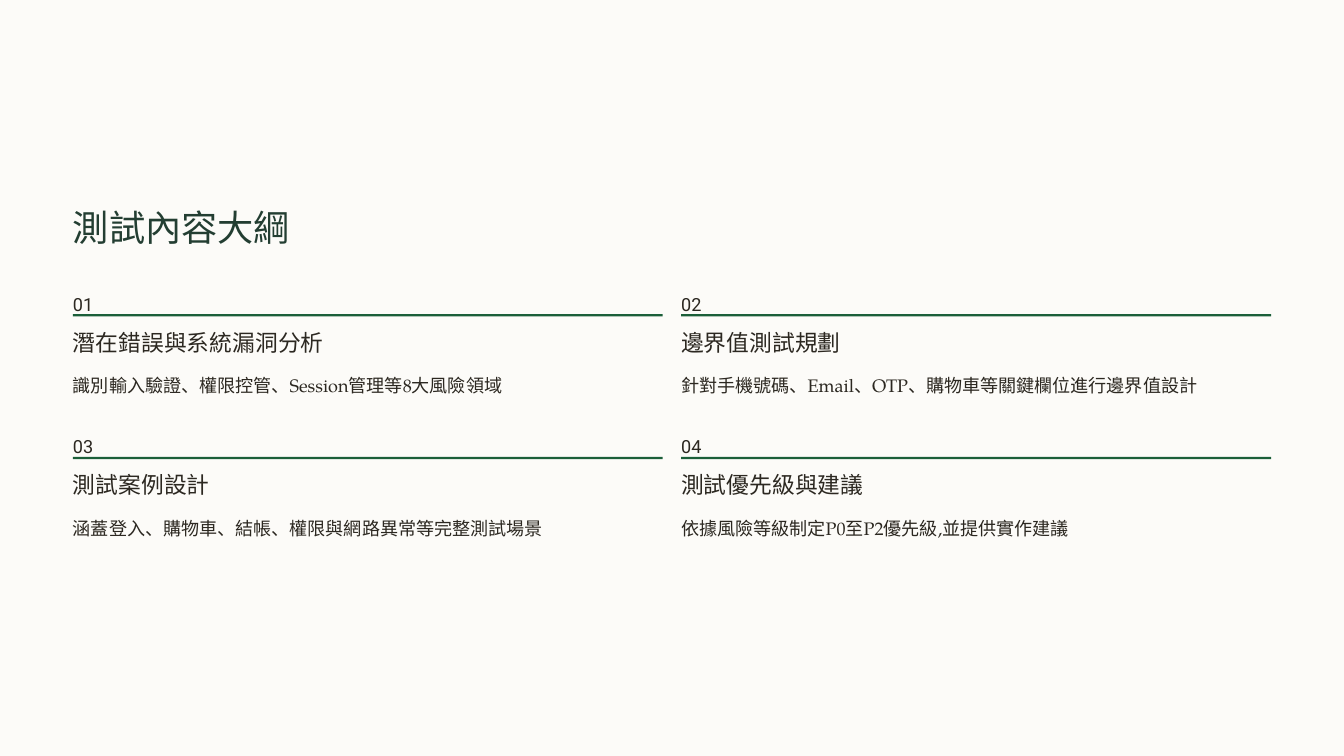
from dataclasses import dataclass

from pptx import Presentation
from pptx.dml.color import RGBColor
from pptx.enum.shapes import MSO_SHAPE as Shape
from pptx.enum.text import MSO_ANCHOR as Anchor, PP_ALIGN as Align
from pptx.util import Pt


@dataclass(frozen=True)
class Theme:
    backdrop: RGBColor = RGBColor(0x00, 0x00, 0x00)
    paper: RGBColor = RGBColor(0xFC, 0xFB, 0xF8)
    title: RGBColor = RGBColor(0x23, 0x3E, 0x32)
    text: RGBColor = RGBColor(0x2C, 0x28, 0x21)
    rule: RGBColor = RGBColor(0x1B, 0x5F, 0x39)
    sans: str = "Roboto"
    serif: str = "TeX Gyre Pagella"
    title_size: float = 31
    heading_size: float = 19.5
    body_size: float = 15.5


THEME = Theme()

TOPICS = [
    ("潛在錯誤與系統漏洞分析", "識別輸入驗證、權限控管、Session管理等8大風險領域"),
    ("邊界值測試規劃", "針對手機號碼、Email、OTP、購物車等關鍵欄位進行邊界值設計"),
    ("測試案例設計", "涵蓋登入、購物車、結帳、權限與網路異常等完整測試場景"),
    ("測試優先級與建議", "依據風險等級制定P0至P2優先級,並提供實作建議"),
]

# Page grid, in points
PAGE_WIDTH, PAGE_HEIGHT = 1152, 648
MARGIN, GAP = 62.5, 15.8
COLUMNS = 2
TITLE_TOP, GRID_TOP, ROW_PITCH = 174.2, 244.8, 122.4
CONTENT_WIDTH = PAGE_WIDTH - 2 * MARGIN
COLUMN_WIDTH = (CONTENT_WIDTH - GAP * (COLUMNS - 1)) / COLUMNS


def add_text(slide, text, left, top, width, height, *, size, leading,
             font=THEME.sans, color=THEME.text):
    shape = slide.shapes.add_textbox(Pt(left), Pt(top), Pt(width), Pt(height))
    frame = shape.text_frame
    frame.word_wrap = False
    frame.vertical_anchor = Anchor.TOP
    frame.margin_left = frame.margin_right = 0
    frame.margin_top = frame.margin_bottom = 0
    paragraph = frame.paragraphs[0]
    paragraph.alignment = Align.LEFT
    paragraph.line_spacing = Pt(leading)
    run = paragraph.add_run()
    run.text = text
    run.font.name = font
    run.font.size = Pt(size)
    run.font.color.rgb = color


def add_block(slide, left, top, width, height, color):
    shape = slide.shapes.add_shape(
        Shape.RECTANGLE, Pt(left), Pt(top), Pt(width), Pt(height))
    shape.shadow.inherit = False
    shape.fill.solid()
    shape.fill.fore_color.rgb = color
    shape.line.fill.background()


def add_title(slide, text, left, top, width):
    add_text(slide, text, left, top, width, 39, size=THEME.title_size,
             leading=39, color=THEME.title)


def add_topic(slide, number, heading, body, left, top, width):
    # Number above the rule
    add_text(slide, f"{number:02}", left, top, 24, 19.4,
             size=THEME.body_size, leading=25)
    add_block(slide, left, top + 24.5, width, 1.9, THEME.rule)
    # Heading and description below it
    add_text(slide, heading, left, top + 36, width, 24.4,
             size=THEME.heading_size, leading=24)
    add_text(slide, body, left, top + 69.8, width, 25,
             size=THEME.body_size, leading=25, font=THEME.serif)


def add_outline_slide(presentation):
    slide = presentation.slides.add_slide(presentation.slide_layouts[6])
    # Paper over the dark backdrop
    slide.background.fill.solid()
    slide.background.fill.fore_color.rgb = THEME.backdrop
    add_block(slide, 0, 0, PAGE_WIDTH, PAGE_HEIGHT, THEME.paper)
    add_title(slide, "測試內容大綱", MARGIN, TITLE_TOP, CONTENT_WIDTH)

    # Topics fill the grid row by row
    for index, (heading, body) in enumerate(TOPICS):
        row, column = divmod(index, COLUMNS)
        add_topic(slide, index + 1, heading, body,
                  MARGIN + column * (COLUMN_WIDTH + GAP),
                  GRID_TOP + row * ROW_PITCH, COLUMN_WIDTH)


def main():
    presentation = Presentation()
    presentation.slide_width = Pt(PAGE_WIDTH)
    presentation.slide_height = Pt(PAGE_HEIGHT)
    add_outline_slide(presentation)
    presentation.save("out.pptx")


if __name__ == "__main__":
    main()
